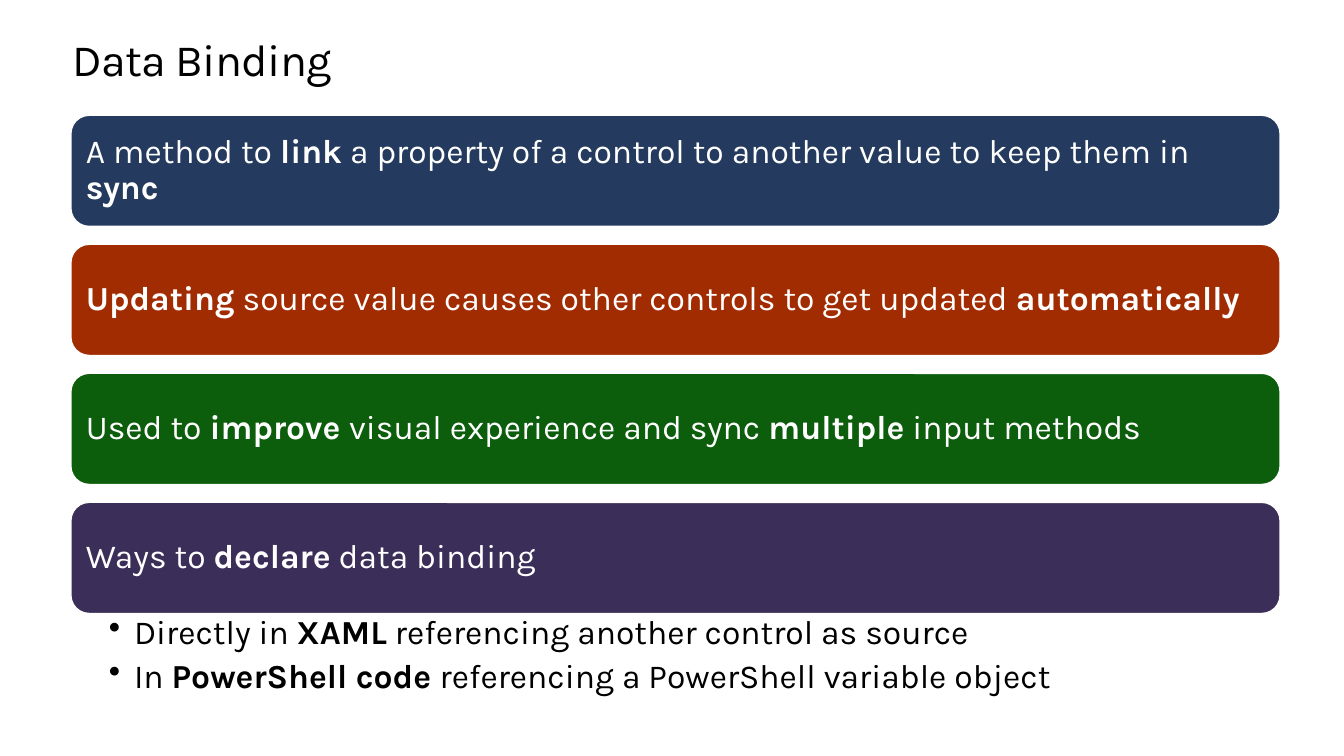
"""Build the Data Binding slide: four statement bars and two bullets."""
from lxml.etree import SubElement
from pptx import Presentation
from pptx.dml.color import RGBColor
from pptx.enum.shapes import MSO_SHAPE as Shape
from pptx.enum.text import MSO_ANCHOR as Anchor, MSO_AUTO_SIZE as AutoSize, PP_ALIGN as Align
from pptx.oxml.ns import qn
from pptx.util import Inches, Pt

WHITE = RGBColor(0xFF, 0xFF, 0xFF)
BLACK = RGBColor(0x00, 0x00, 0x00)
NAVY = RGBColor(0x24, 0x3A, 0x5E)
RUST = RGBColor(0xA2, 0x2C, 0x01)
GREEN = RGBColor(0x0C, 0x5D, 0x0C)
PURPLE = RGBColor(0x3B, 0x2E, 0x58)

TITLE = "Data Binding"
BARS = [
    (NAVY, [("A method to ", False), ("link", True),
            (" a property of a control to another value to keep them in ", False),
            ("sync", True)]),
    (RUST, [("Updating", True),
            (" source value causes other controls to get updated ", False),
            ("automatically", True)]),
    (GREEN, [("Used to ", False), ("improve ", True),
             ("visual experience and sync ", False), ("multiple", True),
             (" input methods", False)]),
    (PURPLE, [("Ways to ", False), ("declare", True), (" data binding", False)]),
]
BULLETS = [
    [("Directly in ", False), ("XAML", True),
     (" referencing another control as source", False)],
    [("In ", False), ("PowerShell code ", True),
     ("referencing a PowerShell variable object", False)],
]

LEFT, WIDTH = 0.7, 12
BAR_TOP, BAR_HEIGHT, BAR_PITCH = 1.14, 1.11, 1.28
BULLET_TOP, BULLET_HEIGHT, BULLET_INDENT = 6.08, 0.98, 0.25


def apply(target, values):
    for name, value in values.items():
        setattr(target, name, value)


def set_frame(frame, anchor, insets):
    sides = ("margin_left", "margin_top", "margin_right", "margin_bottom")
    apply(frame, {"word_wrap": True, "auto_size": AutoSize.NONE, "vertical_anchor": anchor})
    apply(frame, {side: Inches(inset) for side, inset in zip(sides, insets)})


def write(para, spans, color, size=24, spacing=0.9):
    apply(para, {"alignment": Align.LEFT, "line_spacing": spacing})
    for text, bold in spans:
        span = para.add_run()
        span.text = text
        apply(span.font, {"name": "Karla", "size": Pt(size), "bold": bold})
        span.font.color.rgb = color


def add_title(page):
    title = page.shapes.title
    apply(title, {"left": Inches(0.72), "top": Inches(0.35),
                  "width": Inches(11.9), "height": Inches(0.5)})
    set_frame(title.text_frame, Anchor.TOP, (0, 0, 0, 0))
    para = title.text_frame.paragraphs[0]
    write(para, [(TITLE, False)], BLACK, 32, Pt(36.2))
    para.runs[0]._r.get_or_add_rPr().set("spc", "-50")


def add_bar(page, row, color, spans):
    bar = page.shapes.add_shape(Shape.ROUNDED_RECTANGLE, Inches(LEFT),
                                Inches(BAR_TOP + row * BAR_PITCH),
                                Inches(WIDTH), Inches(BAR_HEIGHT))
    bar.shadow.inherit = False
    bar.fill.solid()
    bar.fill.fore_color.rgb = color
    bar.line.color.rgb = WHITE
    bar.line.width = Pt(1.5)
    set_frame(bar.text_frame, Anchor.MIDDLE, (0.1, 0.1, 0.1, 0.1))
    write(bar.text_frame.paragraphs[0], spans, WHITE)


def add_bullets(page):
    box = page.shapes.add_textbox(Inches(LEFT), Inches(BULLET_TOP),
                                  Inches(WIDTH), Inches(BULLET_HEIGHT))
    frame = box.text_frame
    set_frame(frame, Anchor.TOP, (0.38, 0.03, 0.19, 0.03))
    for row, spans in enumerate(BULLETS):
        para = frame.add_paragraph() if row else frame.paragraphs[0]
        write(para, spans, BLACK)
        apply(para, {"level": 1, "space_after": Pt(5)})
        properties = para._p.get_or_add_pPr()
        properties.set("marL", str(Inches(BULLET_INDENT)))
        properties.set("indent", str(-Inches(BULLET_INDENT)))
        SubElement(properties, qn("a:buChar"), char="•")


def main():
    deck = Presentation()
    apply(deck, {"slide_width": Inches(13.33), "slide_height": Inches(7.5)})
    page = deck.slides.add_slide(deck.slide_layouts.get_by_name("Title Only"))
    add_title(page)
    for row, (color, spans) in enumerate(BARS):
        add_bar(page, row, color, spans)
    add_bullets(page)
    deck.save("out.pptx")


if __name__ == "__main__":
    main()
